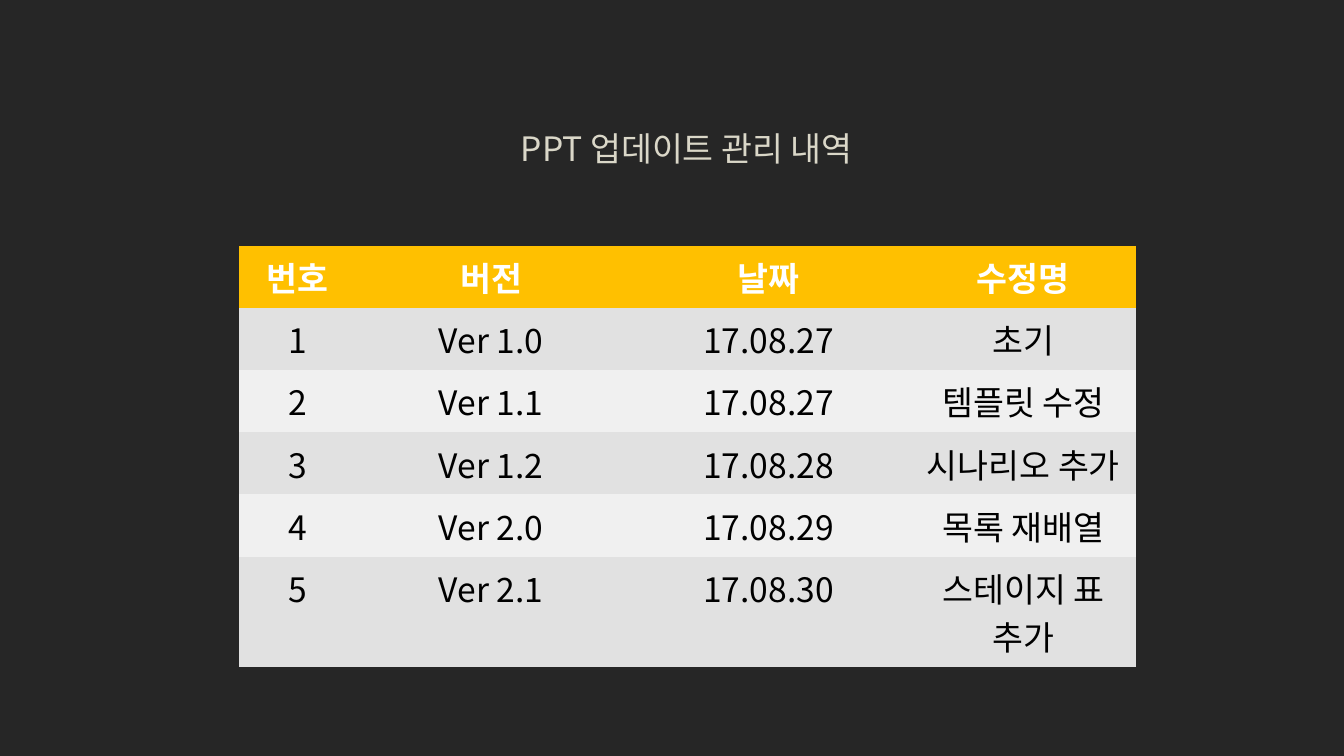
from lxml import etree
from pptx import Presentation
from pptx.dml.color import RGBColor
from pptx.enum.text import MSO_AUTO_SIZE, PP_ALIGN
from pptx.oxml.ns import qn
from pptx.util import Inches, Pt

CENTER = PP_ALIGN.CENTER
GROW = MSO_AUTO_SIZE.SHAPE_TO_FIT_TEXT
FONT = "Noto Sans CJK KR"
PLAIN_TABLE = "{2D5ABB26-0587-4C30-8999-92F81FD0307C}"
COLORS = {
    "background": "262626",
    "title": "DAD7C8",
    "header": "FFC000",
    "header_text": "FFFFFF",
    "odd_row": "E1E1E1",
    "even_row": "F0F0F0",
    "body_text": "000000",
}


def color(name):
    return RGBColor.from_string(COLORS[name])


def write(frame, text, text_color, bold=False):
    paragraph = frame.paragraphs[0]
    paragraph.alignment = CENTER
    run = paragraph.add_run()
    run.text = text
    for key, value in {"size": Pt(18), "name": FONT, "bold": bold}.items():
        setattr(run.font, key, value)
    run.font.color.rgb = color(text_color)
    east_asian = etree.SubElement(run.font._element, qn("a:ea"))
    east_asian.set("typeface", FONT)


prs = Presentation()
prs.slide_width = Inches(10)
prs.slide_height = Inches(10 * 9 / 16)
slide = prs.slides.add_slide(prs.slide_layouts[6])
slide.background.fill.solid()
slide.background.fill.fore_color.rgb = color("background")

history = [
    ("번호", "버전", "날짜", "수정명"),
    ("1", "Ver 1.0", "17.08.27", "초기"),
    ("2", "Ver 1.1", "17.08.27", "템플릿 수정"),
    ("3", "Ver 1.2", "17.08.28", "시나리오 추가"),
    ("4", "Ver 2.0", "17.08.29", "목록 재배열"),
    ("5", "Ver 2.1", "17.08.30", "스테이지 표 추가"),
]
column_widths = [0.87, 2.01, 2.12, 1.67]
row_heights = [0.27] + [0.41] * 5

history_table = slide.shapes.add_table(
    len(history), len(column_widths),
    Inches(1.78), Inches(1.83), Inches(6.67), Inches(2.35),
).table
history_table._tbl.tblPr.find(qn("a:tableStyleId")).text = PLAIN_TABLE

for column, width in zip(history_table.columns, column_widths):
    column.width = Inches(width)

for index, (row, height, entries) in enumerate(
    zip(history_table.rows, row_heights, history)
):
    row.height = Inches(height)
    is_header = index == 0
    row_fill = "header" if is_header else "odd_row" if index % 2 else "even_row"
    row_text = "header_text" if is_header else "body_text"
    for cell, entry in zip(row.cells, entries):
        cell.fill.solid()
        cell.fill.fore_color.rgb = color(row_fill)
        write(cell.text_frame, entry, row_text, is_header)

title = slide.shapes.add_textbox(
    Inches(2.79), Inches(0.9), Inches(4.64), Inches(0.4)
).text_frame
title.word_wrap = True
title.auto_size = GROW
write(title, "PPT 업데이트 관리 내역", "title")

prs.save("out.pptx")
